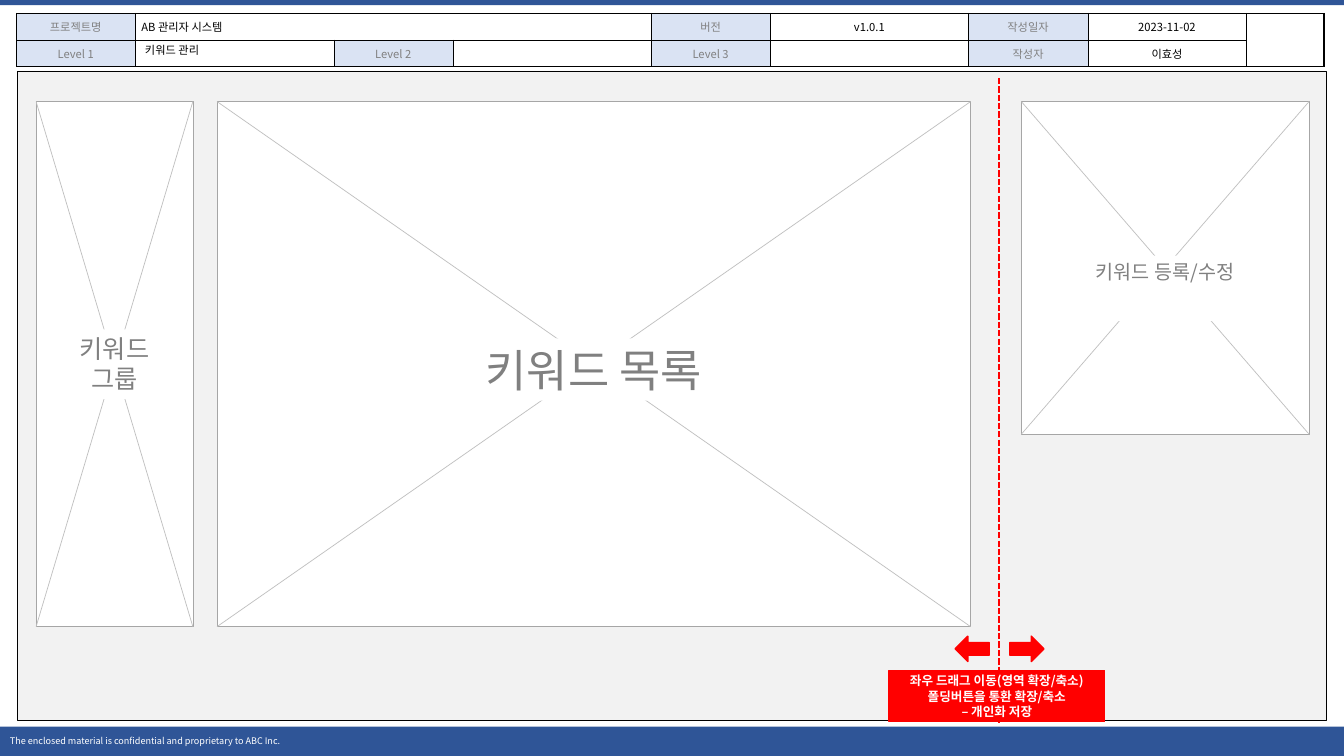
from lxml.etree import SubElement
from pptx import Presentation
from pptx.dml.color import RGBColor
from pptx.enum.dml import MSO_LINE
from pptx.enum.shapes import MSO_CONNECTOR, MSO_SHAPE
from pptx.enum.text import MSO_ANCHOR, MSO_AUTO_SIZE, PP_ALIGN
from pptx.oxml.ns import qn
from pptx.util import Cm, Pt

NAVY = RGBColor(0x2F, 0x55, 0x97)
PALE_BLUE = RGBColor(0xDA, 0xE3, 0xF3)
PALE_GRAY = RGBColor(0xF2, 0xF2, 0xF2)
GRAY = RGBColor(0x80, 0x80, 0x80)
FRAME_GRAY = RGBColor(0xA6, 0xA6, 0xA6)
CROSS_GRAY = RGBColor(0xBF, 0xBF, 0xBF)
RED = RGBColor(0xFF, 0x00, 0x00)
BLACK = RGBColor(0x00, 0x00, 0x00)
WHITE = RGBColor(0xFF, 0xFF, 0xFF)
FONT = "Noto Sans CJK KR"


def set_font(p, size, color, bold=False):
    f = p.font
    f.size, f.name, f.bold = Pt(size), FONT, bold
    f.color.rgb = color
    SubElement(f._rPr, qn("a:ea"), typeface=FONT)


def set_text(tf, text, size, color, align=PP_ALIGN.CENTER, bold=False):
    tf.text = text
    for p in tf.paragraphs:
        p.alignment = align
        set_font(p, size, color, bold)


def add_block(shapes, kind, x, y, w, h, fill, line=None, width=0.25):
    sp = shapes.add_shape(kind, Cm(x), Cm(y), Cm(w), Cm(h))
    sp.shadow.inherit = False
    sp.fill.solid()
    sp.fill.fore_color.rgb = fill
    if line is None:
        sp.line.fill.background()
    else:
        sp.line.color.rgb = line
        sp.line.width = Pt(width)
    return sp


def add_line(shapes, x1, y1, x2, y2, color, width):
    cn = shapes.add_connector(MSO_CONNECTOR.STRAIGHT, Cm(x1), Cm(y1), Cm(x2), Cm(y2))
    cn.line.color.rgb = color
    cn.line.width = Pt(width)
    SubElement(cn._element.spPr, qn("a:effectLst"))
    return cn


def set_borders(cell, right, bottom):
    tcPr = cell._tc.get_or_add_tcPr()
    for side, width in (("L", 0.25), ("R", right), ("T", 0.25), ("B", bottom)):
        ln = SubElement(tcPr, qn(f"a:ln{side}"), w=str(Pt(width)))
        fill = SubElement(ln, qn("a:solidFill"))
        SubElement(fill, qn("a:srgbClr"), val=str(BLACK))


def add_page_bars(s):
    add_block(s.shapes, MSO_SHAPE.RECTANGLE, 0, 0, 33.87, 0.13, NAVY)
    sp = add_block(s.shapes, MSO_SHAPE.RECTANGLE, 0, 18.31, 33.87, 0.74, NAVY)
    set_text(sp.text_frame, "The enclosed material is confidential and proprietary to ABC Inc.",
             6.5, WHITE, PP_ALIGN.LEFT)
    sp.text_frame.vertical_anchor = MSO_ANCHOR.MIDDLE


def add_header(s, x, y):
    widths = [3, 5, 3, 5, 3, 5, 3, 4, 1.95]
    heights = [0.66, 0.58]
    rows = [["프로젝트명", "AB 관리자 시스템", "", "", "버전", "v1.0.1", "작성일자", "2023-11-02", ""],
            ["Level 1", "", "Level 2", "", "Level 3", "", "작성자", "이효성", ""]]
    gf = s.shapes.add_table(2, 9, Cm(x), Cm(y), Cm(sum(widths)), Cm(sum(heights)))
    table = gf.table
    table.first_row = table.horz_banding = False
    for col, w in zip(table.columns, widths):
        col.width = Cm(w)
    for row, h in zip(table.rows, heights):
        row.height = Cm(h)
    for i, row in enumerate(rows):
        for j, text in enumerate(row):
            cell = table.cell(i, j)
            cell.margin_left = cell.margin_right = Cm(0.15)
            cell.margin_top = cell.margin_bottom = Cm(0.13)
            is_label = j in (0, 2, 4, 6) and text != ""
            p = cell.text_frame.paragraphs[0]
            set_text(cell.text_frame, text, 8, GRAY if is_label else BLACK,
                     PP_ALIGN.LEFT if j == 1 else PP_ALIGN.CENTER)
            if not text:
                SubElement(p._p, qn("a:endParaRPr"), sz="800")
            if i == 0 and j in (1, 4, 5):
                p.line_spacing = 1.2
            set_borders(cell, 1.5 if j == 8 else 0.25, 1.5 if i == 1 or j == 8 else 0.25)
            if is_label:
                cell.fill.solid()
                cell.fill.fore_color.rgb = PALE_BLUE
            else:
                cell.fill.background()
    table.cell(0, 1).merge(table.cell(0, 3))
    table.cell(0, 8).merge(table.cell(1, 8))


def add_title(s, x, y, w, h):
    sp = s.shapes.title
    sp.left, sp.top, sp.width, sp.height = Cm(x), Cm(y), Cm(w), Cm(h)
    tf = sp.text_frame
    set_text(tf, "키워드 관리", 8, BLACK, PP_ALIGN.LEFT)
    tf.vertical_anchor = MSO_ANCHOR.MIDDLE
    tf.auto_size = MSO_AUTO_SIZE.NONE
    tf.paragraphs[0].line_spacing = 0.9


def add_wireframe(s, x, y, w, h, text, size, label_w, label_h, label_dy=0):
    shapes = s.shapes.add_group_shape().shapes
    add_block(shapes, MSO_SHAPE.RECTANGLE, x, y, w, h, WHITE, FRAME_GRAY)
    add_line(shapes, x, y, x + w, y + h, CROSS_GRAY, 0.5)
    add_line(shapes, x, y + h, x + w, y, CROSS_GRAY, 0.5)
    sp = add_block(shapes, MSO_SHAPE.RECTANGLE, x + (w - label_w) / 2,
                   y + (h - label_h) / 2 + label_dy, label_w, label_h, WHITE)
    tf = sp.text_frame
    set_text(tf, text, size, GRAY)
    tf.word_wrap = False
    tf.vertical_anchor = MSO_ANCHOR.TOP
    tf.margin_left = tf.margin_right = tf.margin_top = tf.margin_bottom = Cm(0.1)


def add_splitter(s, x, y, h):
    divider = add_line(s.shapes, x, y, x, y + h, RED, 1.5)
    divider.line.dash_style = MSO_LINE.SQUARE_DOT
    for dx, angle in ((0.28, 0), (-1.1, 180)):
        arrow = add_block(s.shapes, MSO_SHAPE.RIGHT_ARROW, x + dx, y + 14.07, 0.86, 0.64, RED, RED, 1)
        arrow.rotation = angle
    note = add_block(s.shapes, MSO_SHAPE.RECTANGLE, x - 2.77, y + 14.93, 5.44, 1.3, RED, RED, 1)
    set_text(note.text_frame, "좌우 드래그 이동(영역 확장/축소)\n폴딩버튼을 통환 확장/축소\n– 개인화 저장",
             9, WHITE, bold=True)
    note.text_frame.vertical_anchor = MSO_ANCHOR.MIDDLE


def main():
    prs = Presentation()
    prs.slide_width, prs.slide_height = Cm(33.87), Cm(19.05)
    s = prs.slides.add_slide(prs.slide_layouts[5])
    add_page_bars(s)
    add_header(s, 0.41, 0.33)
    add_block(s.shapes, MSO_SHAPE.RECTANGLE, 0.43, 1.79, 32.99, 16.36, PALE_GRAY, BLACK)
    add_title(s, 3.4, 0.97, 5, 0.61)
    add_splitter(s, 25.17, 1.96, 16.28)
    top = 2.56
    add_wireframe(s, 5.47, top, 18.99, 13.23, "키워드 목록", 32, 6.3, 1.57, 0.14)
    add_wireframe(s, 25.74, top, 7.25, 8.38, "키워드 등록/수정", 14, 4.06, 1.65, 0.52)
    add_wireframe(s, 0.91, top, 3.95, 13.23, "키워드\n그룹", 18, 2.13, 1.75)
    prs.save("out.pptx")


if __name__ == "__main__":
    main()
